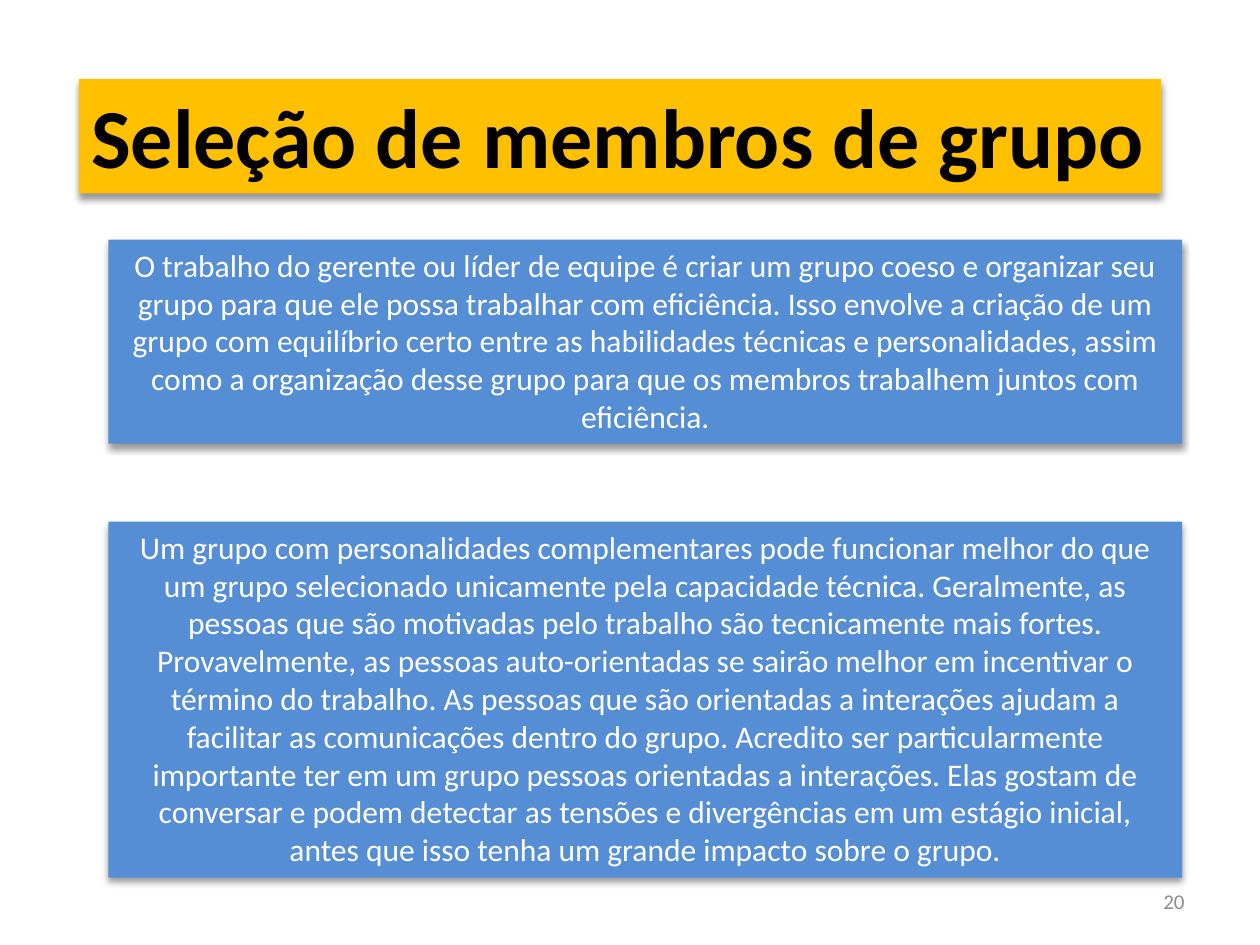
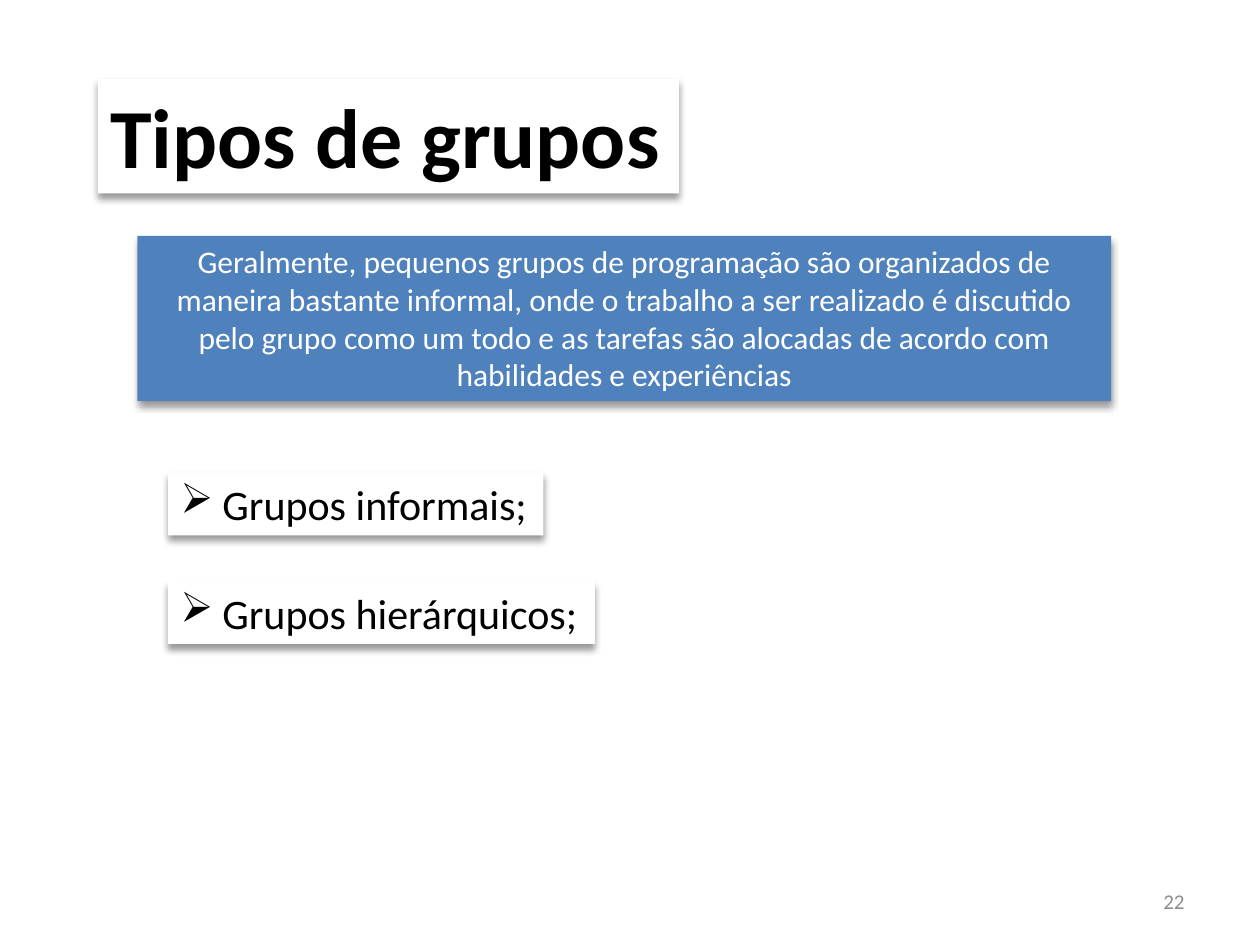
"""Build two slides about choosing and organising work groups."""
from dataclasses import dataclass

import lxml.etree
import pptx
import pptx.dml.color
import pptx.enum.shapes
import pptx.enum.text
import pptx.oxml
import pptx.oxml.ns
import pptx.presentation
import pptx.shapes.autoshape
import pptx.slide
import pptx.text.text
import pptx.util

Pt = pptx.util.Pt
ALIGN = pptx.enum.text.PP_ALIGN
ANCHOR = pptx.enum.text.MSO_ANCHOR

FACE = "Calibri"
BLACK = "000000"
WHITE = "FFFFFF"
GREY = "8C8C8C"
GOLD = "FFC000"
SKY = "558ED5"
BLUE = "4F81BD"

HEAD_TOP, HEAD_HIGH = 45, 65.5
LIST_LEFT, LIST_TOP, LIST_STEP = 96, 270, 62


@dataclass(frozen=True)
class Style:
    """Hold the look of one kind of text."""
    size: float
    color: str
    align: ALIGN = ALIGN.LEFT
    bold: bool = False
    mark: str = ""


@dataclass(frozen=True)
class Panel:
    """Hold one filled box with its text."""
    left: float
    top: float
    width: float
    height: float
    fill: str
    style: Style
    text: str


HEAD = Style(48, BLACK, bold=True)
BODY = Style(18, WHITE, ALIGN.CENTER)
ITEM = Style(24, BLACK, mark="➢")
FOOT = Style(12, GREY, ALIGN.RIGHT)


def paint(text: str) -> pptx.dml.color.RGBColor:
    """Turn a hex string into a colour."""
    return pptx.dml.color.RGBColor.from_string(text)


def write(frame: pptx.text.text.TextFrame, text: str, style: Style) -> None:
    """Put styled text into a frame."""
    frame.word_wrap = not style.mark
    para = frame.paragraphs[0]
    para.text = text
    para.alignment = style.align
    font = para.font
    font.name, font.size, font.bold = FACE, Pt(style.size), style.bold
    font.color.rgb = paint(style.color)
    if style.mark:
        props = para._p.get_or_add_pPr()
        props.set("marL", str(Pt(24)))
        props.set("indent", str(-Pt(24)))
        mark = lxml.etree.Element(pptx.oxml.ns.qn("a:buChar"), char=style.mark)
        props.insert(0, mark)


def shade(shape: pptx.shapes.autoshape.Shape) -> None:
    """Give a shape a soft shadow below it."""
    shape.shadow.inherit = False
    effects = shape._element.spPr.find(pptx.oxml.ns.qn("a:effectLst"))
    effects.append(pptx.oxml.parse_xml(
        f'<a:outerShdw {pptx.oxml.ns.nsdecls("a")} blurRad="{Pt(4)}" '
        f'dist="{Pt(3)}" dir="5400000" rotWithShape="0">'
        f'<a:srgbClr val="{BLACK}"><a:alpha val="40000"/></a:srgbClr>'
        '</a:outerShdw>'))


def draw(slide: pptx.slide.Slide, panel: Panel) -> None:
    """Draw one panel."""
    shape = slide.shapes.add_shape(
        pptx.enum.shapes.MSO_SHAPE.RECTANGLE, Pt(panel.left), Pt(panel.top),
        Pt(panel.width), Pt(panel.height))
    shape.fill.solid()
    shape.fill.fore_color.rgb = paint(panel.fill)
    shape.line.fill.background()
    shade(shape)
    shape.text_frame.vertical_anchor = ANCHOR.TOP
    write(shape.text_frame, panel.text, panel.style)


def title(left: float, width: float, fill: str, text: str) -> Panel:
    """Make the title panel of a slide."""
    return Panel(left, HEAD_TOP, width, HEAD_HIGH, fill, HEAD, text)


def item(row: int, width: float, text: str) -> Panel:
    """Make one panel of the list."""
    top = LIST_TOP + row * LIST_STEP
    return Panel(LIST_LEFT, top, width, 36, WHITE, ITEM, text)


def build(deck: pptx.presentation.Presentation, page: int,
          panels: list[Panel]) -> None:
    """Add a slide with its page number and panels."""
    slide = deck.slides.add_slide(deck.slide_layouts[6])
    box = slide.shapes.add_textbox(Pt(516), Pt(500.5), Pt(168), Pt(28.75))
    box.text_frame.vertical_anchor = ANCHOR.MIDDLE
    write(box.text_frame, str(page), FOOT)
    for panel in panels:
        draw(slide, panel)


PAGES = {
    20: [
        title(45, 618.5, GOLD, "Seleção de membros de grupo"),
        Panel(62, 137, 613.5, 116.5, SKY, BODY,
              "O trabalho do gerente ou líder de equipe é criar um grupo "
              "coeso e organizar seu grupo para que ele possa trabalhar com "
              "eficiência. Isso envolve a criação de um grupo com equilíbrio "
              "certo entre as habilidades técnicas e personalidades, assim "
              "como a organização desse grupo para que os membros trabalhem "
              "juntos com eficiência."),
        Panel(62, 298, 613.5, 203.5, SKY, BODY,
              "Um grupo com personalidades complementares pode funcionar "
              "melhor do que um grupo selecionado unicamente pela capacidade "
              "técnica. Geralmente, as pessoas que são motivadas pelo "
              "trabalho são tecnicamente mais fortes. Provavelmente, as "
              "pessoas auto-orientadas se sairão melhor em incentivar o "
              "término do trabalho. As pessoas que são orientadas a "
              "interações ajudam a facilitar as comunicações dentro do "
              "grupo. Acredito ser particularmente importante ter em um "
              "grupo pessoas orientadas a interações. Elas gostam de "
              "conversar e podem detectar as tensões e divergências em um "
              "estágio inicial, antes que isso tenha um grande impacto sobre "
              "o grupo."),
    ],
    22: [
        title(56, 332, WHITE, "Tipos de grupos"),
        Panel(78.5, 134.75, 556.5, 94.5, BLUE, BODY,
              "Geralmente, pequenos grupos de programação são organizados de "
              "maneira bastante informal, onde o trabalho a ser realizado é "
              "discutido pelo grupo como um todo e as tarefas são alocadas "
              "de acordo com habilidades e experiências"),
        item(0, 214.5, "Grupos informais;"),
        item(1, 244, "Grupos hierárquicos;"),
    ],
}


def main() -> None:
    """Build and save the deck."""
    deck = pptx.Presentation()
    deck.slide_width, deck.slide_height = Pt(720), Pt(540)
    for page, panels in PAGES.items():
        build(deck, page, panels)
    deck.save("out.pptx")


if __name__ == "__main__":
    main()
